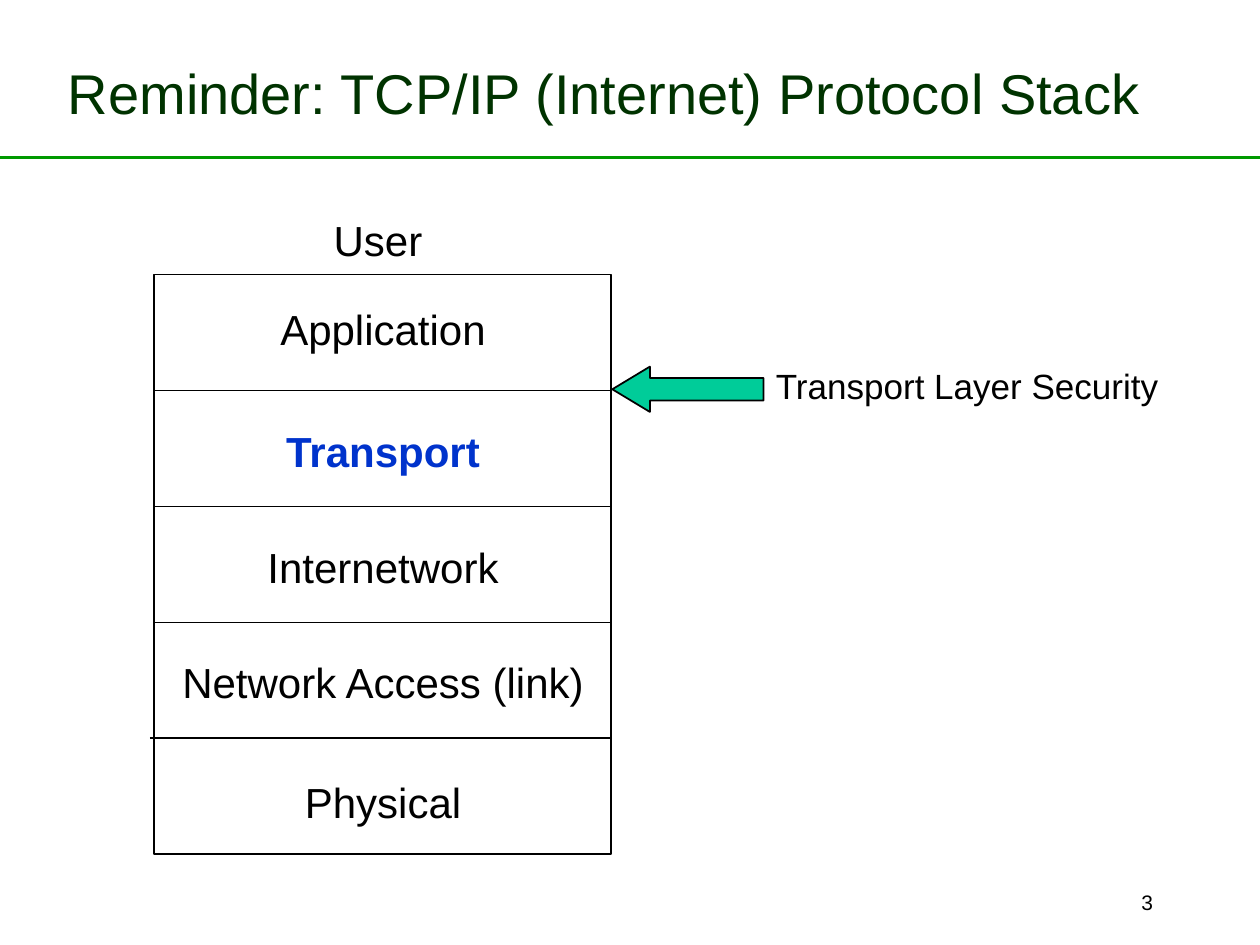
"""Build a slide showing the TCP/IP protocol stack and where TLS sits."""
from pptx import Presentation
from pptx.dml.color import RGBColor
from pptx.enum.shapes import MSO_CONNECTOR, MSO_SHAPE
from pptx.enum.text import MSO_ANCHOR, PP_ALIGN
from pptx.oxml import parse_xml
from pptx.oxml.ns import nsdecls
from pptx.util import Inches, Pt

BLACK = "000000"


def add_label(text, left, top, width, height, size, color=BLACK, align=PP_ALIGN.LEFT, bold=False):
    """Add a wrapped one-paragraph text box and return its frame."""
    frame = slide.shapes.add_textbox(Inches(left), Inches(top), Inches(width), Inches(height)).text_frame
    frame.word_wrap = True
    paragraph = frame.paragraphs[0]
    paragraph.text = text
    paragraph.alignment = align
    paragraph.font.name = "Arial"
    paragraph.font.size = Pt(size)
    paragraph.font.bold = bold
    paragraph.font.color.rgb = RGBColor.from_string(color)
    return frame


def add_rule(left, right, y, color, weight):
    """Add a horizontal line without a shadow."""
    rule = slide.shapes.add_connector(
        MSO_CONNECTOR.STRAIGHT, Inches(left), Inches(y), Inches(right), Inches(y))
    rule.line.color.rgb = RGBColor.from_string(color)
    rule.line.width = Pt(weight)
    rule._element.spPr.append(parse_xml(f"<a:effectLst {nsdecls('a')}/>"))


presentation = Presentation()
presentation.slide_width, presentation.slide_height = Inches(10), Inches(7.5)
slide = presentation.slides.add_slide(presentation.slide_layouts[6])

add_rule(0, 10, 1.25, "009900", 2.25)
add_label("3", 7.17, 7.01, 2.08, 0.32, 12, align=PP_ALIGN.RIGHT)
title = add_label("Reminder: TCP/IP (Internet) Protocol Stack", 0.44, 0.21, 8.97, 1.04, 32, "003300")
title.vertical_anchor = MSO_ANCHOR.MIDDLE

stack_left, stack_top, stack_width, layer_height = 1.22, 2.18, 3.63, 0.92
stack_right = stack_left + stack_width
layers = [("Application", 2.36), ("Transport", 3.33), ("Internetwork", 4.25),
          ("Network Access (link)", 5.16), ("Physical", 6.11)]

stack = slide.shapes.add_shape(
    MSO_SHAPE.RECTANGLE, Inches(stack_left), Inches(stack_top),
    Inches(stack_width), Inches(layer_height * len(layers)))
stack.fill.background()

for boundary in range(1, len(layers)):
    overhang = 0.03 if boundary == len(layers) - 1 else 0
    add_rule(stack_left - overhang, stack_right, stack_top + boundary * layer_height, BLACK, 1)

for layer, label_top in layers:
    highlighted = layer == "Transport"
    add_label(layer, 1.24, label_top, 3.6, 0.5, 24, "0033CC" if highlighted else BLACK,
              PP_ALIGN.CENTER, highlighted)
add_label("User", 1.2, 1.65, 3.6, 0.5, 24, align=PP_ALIGN.CENTER)

add_label("Transport Layer Security", 6.06, 2.84, 3.27, 0.43, 20)
security_arrow = slide.shapes.add_shape(
    MSO_SHAPE.LEFT_ARROW, Inches(4.86), Inches(2.91), Inches(1.2), Inches(0.36))
security_arrow.adjustments[0] = 0.5
security_arrow.adjustments[1] = 0.83
security_arrow.fill.solid()
security_arrow.fill.fore_color.rgb = RGBColor.from_string("00CC99")

for outlined in (stack, security_arrow):
    outlined.shadow.inherit = False
    outlined.line.color.rgb = RGBColor.from_string(BLACK)
    outlined.line.width = Pt(1)

presentation.save("out.pptx")
